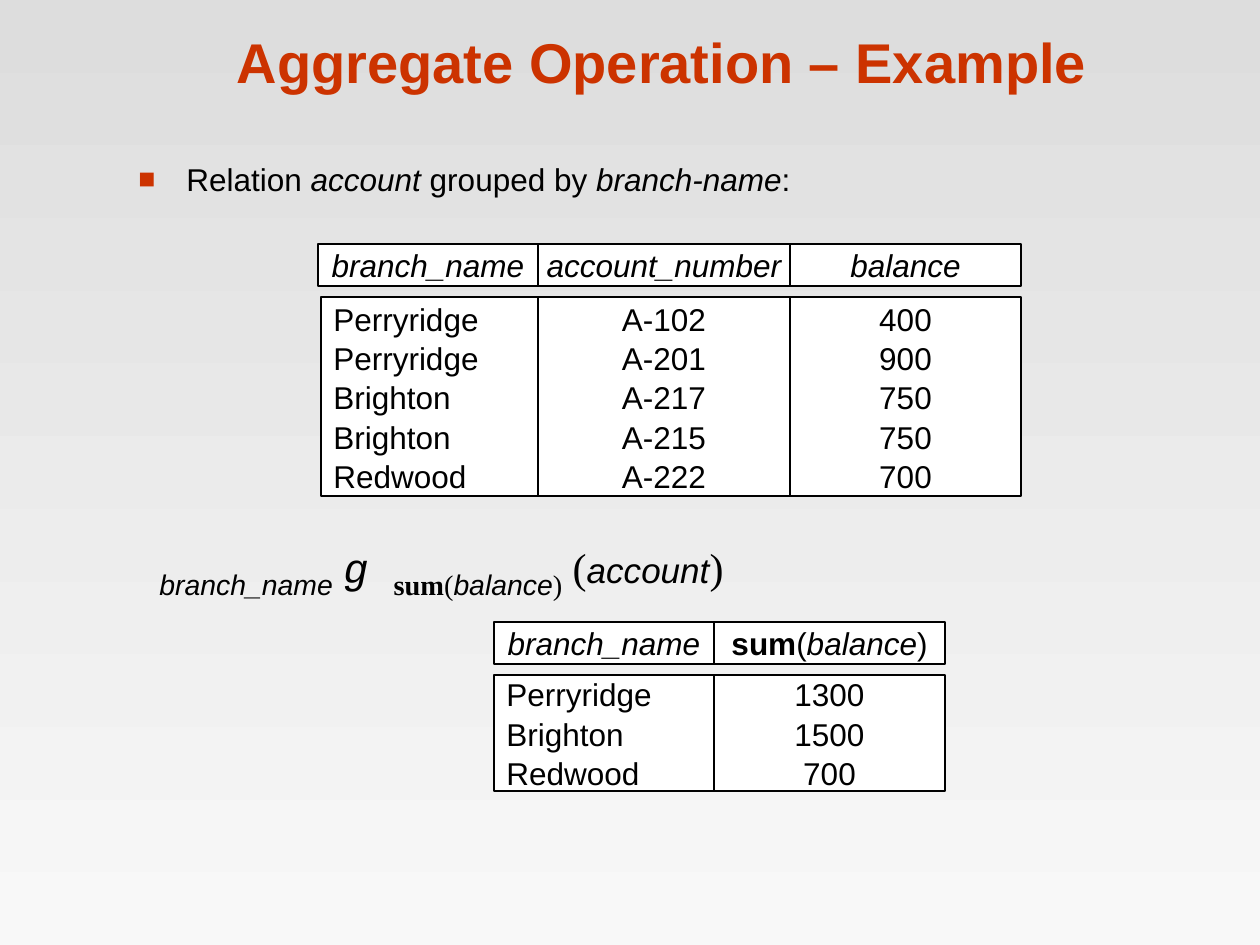
from lxml import etree
from pptx import Presentation, util as u
from pptx.dml.color import RGBColor
from pptx.enum import shapes, text
from pptx.oxml.ns import qn

PX = 914400 // 126
HEX = {"red": "CC3300", "ink": "000000", "paper": "FFFFFF",
       "top": "DDDDDD", "foot": "F8F8F8"}
SANS, SERIF, MONO = "Arial", "Times New Roman", "Courier New"
LEFT, MID = text.PP_ALIGN.LEFT, text.PP_ALIGN.CENTER

TITLE = "Aggregate Operation – Example"
# A run is: words, style letters (b bold, i italic, s subscript), size, font
INTRO = [("Relation ",), ("account", "i"), (" grouped by ",),
         ("branch-name", "i"), (":",)]
QUERY = [("branch_name", "is", 28), (" ", "", 24, SERIF), ("g ", "i", 24, MONO),
         ("sum", "bs", 28, SERIF), ("(", "s", 28, SERIF), ("balance", "is", 28),
         (")", "s", 28, SERIF), (" (", "", 24, SERIF), ("account", "i", 20),
         (")", "", 24, SERIF)]
# A column is: width, shift of its body, head runs, values, alignment
GRIDS = [
    {"x": 318, "y": 244, "deep": 199, "cols": [
        (220, 3, [("branch_name", "i")],
         ["Perryridge", "Perryridge", "Brighton", "Brighton", "Redwood"], LEFT),
        (252, 0, [("account_number", "i")],
         ["A-102", "A-201", "A-217", "A-215", "A-222"], MID),
        (231, 0, [("balance", "i")], ["400", "900", "750", "750", "700"], MID)]},
    {"x": 494, "y": 622, "deep": 116, "cols": [
        (220, 0, [("branch_name", "i")],
         ["Perryridge", "Brighton", "Redwood"], LEFT),
        (231, 0, [("sum", "b"), ("(",), ("balance", "i"), (")",)],
         ["1300", "1500", "700"], MID)]},
]
HEAD, STEP = 42, 53  # head height, and drop from head to body


def rgb(name):
    return RGBColor.from_string(HEX[name])


def area(*box):
    return [n * PX for n in box]


def write(para, runs, align=LEFT):
    para.alignment = align
    for words, style, size, face in (
            (*r, *("", 18, SANS)[len(r) - 1:]) for r in runs):
        run = para.add_run()
        run.text = words
        font = run.font
        font.name, font.size = face, u.Pt(size)
        font.bold, font.italic = "b" in style, "i" in style
        font.color.rgb = rgb("ink")
        if "s" in style:
            run._r.get_or_add_rPr().set("baseline", "-25000")


def add_text(slide, box, runs):
    frame = slide.shapes.add_textbox(*area(*box)).text_frame
    frame.word_wrap = True
    write(frame.paragraphs[0], runs)
    return frame.paragraphs[0]


def add_bullet(para):
    props = para._p.get_or_add_pPr()
    props.set("marL", str(48 * PX))
    props.set("indent", str(-48 * PX))
    tint = etree.SubElement(props, qn("a:buClr"))
    etree.SubElement(tint, qn("a:srgbClr"), val=HEX["red"])
    etree.SubElement(props, qn("a:buSzPct"), val="90000")
    etree.SubElement(props, qn("a:buFont"), typeface=SANS)
    etree.SubElement(props, qn("a:buChar"), char="■")


def add_cell(slide, box, lines, align, pitch=None):
    cell = slide.shapes.add_shape(shapes.MSO_SHAPE.RECTANGLE, *area(*box))
    cell.shadow.inherit = False
    cell.fill.solid()
    cell.fill.fore_color.rgb = rgb("paper")
    cell.line.color.rgb = rgb("ink")
    cell.line.width = u.Pt(0.75)
    frame = cell.text_frame
    frame.word_wrap = False
    frame.vertical_anchor = text.MSO_ANCHOR.MIDDLE
    for i, runs in enumerate(lines):
        para = frame.add_paragraph() if i else frame.paragraphs[0]
        write(para, runs, align)
        para.line_spacing = pitch


def add_grid(slide, grid):
    x, y = grid["x"], grid["y"]
    for wide, shift, head, vals, align in grid["cols"]:
        add_cell(slide, (x, y, wide, HEAD), [head], MID)
        add_cell(slide, (x + shift, y + STEP, wide - shift, grid["deep"]),
                 [[(val,)] for val in vals], align, 1.04)
        x += wide


def main():
    deck = Presentation()
    deck.slide_width, deck.slide_height = u.Inches(10), u.Inches(7.5)
    slide = deck.slides.add_slide(deck.slide_layouts[5])

    fill = slide.background.fill
    fill.gradient()
    fill.gradient_angle = 270
    for stop, name in zip(fill.gradient_stops, ("top", "foot")):
        stop.color.rgb = rgb(name)

    title = slide.shapes.title
    title.left, title.top, title.width, title.height = area(106, 16, 1112, 85)
    frame = title.text_frame
    frame.text = TITLE
    frame.vertical_anchor = text.MSO_ANCHOR.BOTTOM
    frame.paragraphs[0].alignment = MID
    font = frame.paragraphs[0].runs[0].font
    font.name, font.size, font.bold = SANS, u.Pt(32), True
    font.color.rgb = rgb("red")

    add_bullet(add_text(slide, (126, 154, 946, 57), INTRO))
    add_text(slide, (147, 528, 969, 81), QUERY)
    for grid in GRIDS:
        add_grid(slide, grid)
    deck.save("out.pptx")


if __name__ == "__main__":
    main()
